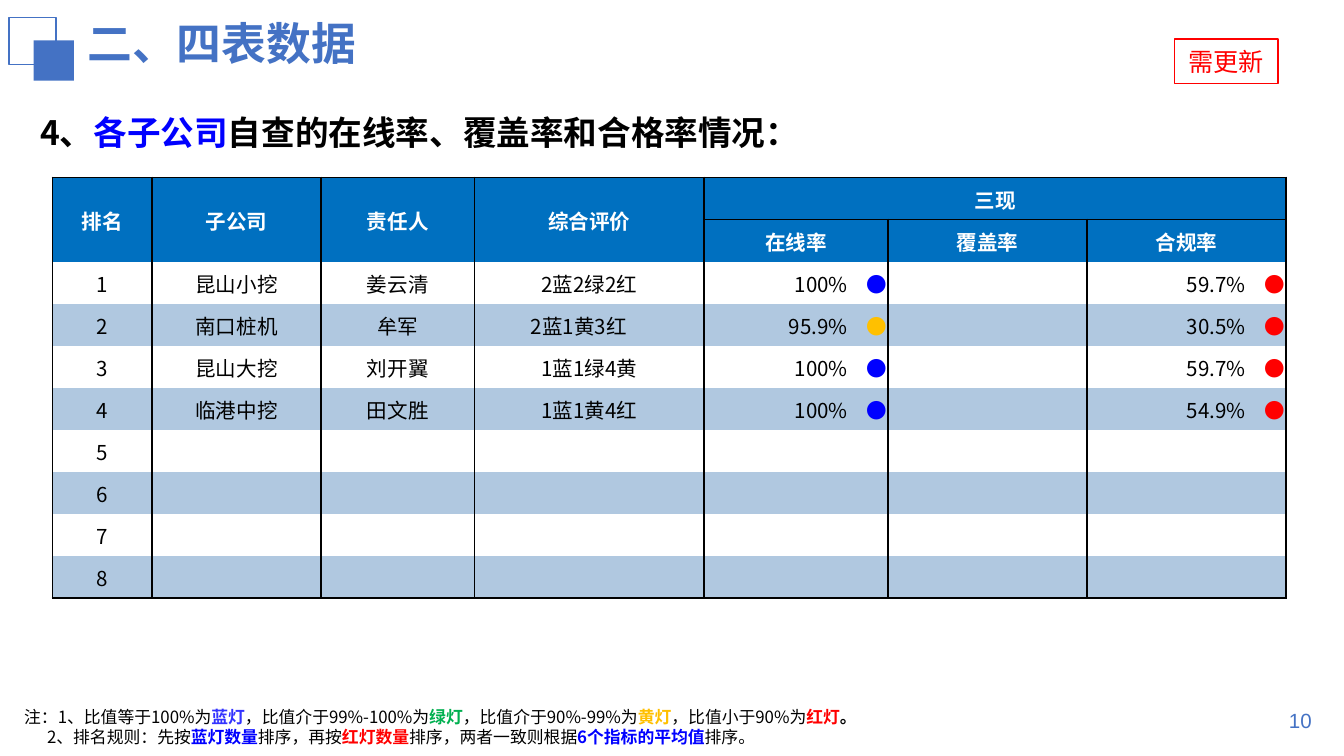
"""Build the slide ranking subsidiaries by their self-checked on-site rates."""
from typing import NamedTuple, Optional

from lxml.etree import SubElement
from pptx import Presentation
from pptx.dml.color import RGBColor
from pptx.enum.shapes import MSO_SHAPE
from pptx.enum.text import MSO_ANCHOR, MSO_AUTO_SIZE, PP_ALIGN
from pptx.oxml.ns import qn
from pptx.util import Inches, Pt

BLACK = RGBColor(0x00, 0x00, 0x00)
WHITE = RGBColor(0xFF, 0xFF, 0xFF)
ACCENT = RGBColor(0x44, 0x72, 0xC4)
HEADER_BLUE = RGBColor(0x00, 0x70, 0xC0)
BAND_BLUE = RGBColor(0xB0, 0xC8, 0xE0)
BLUE = RGBColor(0x00, 0x00, 0xFF)
LAMP_BLUE = RGBColor(0x33, 0x33, 0xFF)
GREEN = RGBColor(0x00, 0xB0, 0x50)
YELLOW = RGBColor(0xFF, 0xC0, 0x00)
RED = RGBColor(0xFF, 0x00, 0x00)

CHINESE_FONT = "Noto Sans CJK SC"
LATIN_FONT = "Arial"
TABLE_SIZE = 11
COLUMN_WIDTHS = (0.74, 1.26, 1.14, 1.71, 1.37, 1.48, 1.48)
HEADINGS = ("排名", "子公司", "责任人", "综合评价")
RATE_HEADINGS = ("在线率", "覆盖率", "合规率")
RANK_COUNT = 8
HEADER_ROWS = 2


class Span(NamedTuple):
    text: str
    color: RGBColor = BLACK
    bold: bool = False
    spacing: float = 0


class Subsidiary(NamedTuple):
    name: str
    manager: str
    verdict: str
    online: str
    online_lamp: RGBColor
    compliance: str
    compliance_lamp: RGBColor = RED


SUBSIDIARIES = (
    Subsidiary("昆山小挖", "姜云清", "2蓝2绿2红", "100%", BLUE, "59.7%"),
    Subsidiary("南口桩机", "牟军", "2蓝1黄3红　", "95.9%", YELLOW, "30.5%"),
    Subsidiary("昆山大挖", "刘开翼", "1蓝1绿4黄", "100%", BLUE, "59.7%"),
    Subsidiary("临港中挖", "田文胜", "1蓝1黄4红", "100%", BLUE, "54.9%"),
)
NOTES = (
    (Span("注：1、比值等于100%为"), Span("蓝灯", LAMP_BLUE, True),
     Span("，比值介于99%-100%为"), Span("绿灯", GREEN, True),
     Span("，比值介于90%-99%为"), Span("黄灯", YELLOW, True),
     Span("，比值小于90%为"), Span("红灯", RED, True), Span("。", BLACK, True)),
    (Span("2、排名规则：先按"), Span("蓝灯数量", BLUE, True),
     Span("排序，再按"), Span("红灯数量", RED, True),
     Span("排序，两者一致则根据"), Span("6个指标的平均值", BLUE, True), Span("排序。")),
)
NOTE_INDENTS = (0, 0.17)


def add_spans(paragraph, spans, size: float, font_name: str = CHINESE_FONT) -> None:
    for span in spans:
        run = paragraph.add_run()
        run.text = span.text
        font = run.font
        font.size, font.bold, font.name = Pt(size), span.bold, font_name
        font.color.rgb = span.color
        SubElement(font._element, qn("a:ea")).set("typeface", font_name)
        if span.spacing:
            font._element.set("spc", str(round(span.spacing * 100)))


def place(shape, left: float, top: float, width: float, height: float, anchor=MSO_ANCHOR.TOP):
    shape.left, shape.top = Inches(left), Inches(top)
    shape.width, shape.height = Inches(width), Inches(height)
    frame = shape.text_frame
    frame.word_wrap = True
    frame.auto_size = MSO_AUTO_SIZE.NONE
    frame.vertical_anchor = anchor
    return frame


def add_middle_text(slide, left: float, top: float, width: float, height: float):
    box = slide.shapes.add_textbox(0, 0, 0, 0)
    return place(box, left, top, width, height, MSO_ANCHOR.MIDDLE).paragraphs[0]


def add_rectangle(shapes, left: float, top: float, width: float, height: float,
                  fill: Optional[RGBColor] = None, line: Optional[RGBColor] = None, line_width: float = 1):
    shape = shapes.add_shape(MSO_SHAPE.RECTANGLE, Inches(left), Inches(top), Inches(width), Inches(height))
    shape.shadow.inherit = False
    shape.fill.background()
    shape.line.fill.background()
    if fill is not None:
        shape.fill.solid()
        shape.fill.fore_color.rgb = fill
    if line is not None:
        shape.line.color.rgb = line
        shape.line.width = Pt(line_width)
    return shape


def format_cell(cell, fill: RGBColor, ruled_sides: str) -> None:
    cell.margin_left = cell.margin_top = cell.margin_right = Inches(0.01)
    cell.margin_bottom = 0
    cell.vertical_anchor = MSO_ANCHOR.MIDDLE
    for side in "LRTB":
        border = SubElement(cell._tc.get_or_add_tcPr(), qn(f"a:ln{side}"), w=str(Pt(1)))
        if side in ruled_sides:
            SubElement(SubElement(border, qn("a:solidFill")), qn("a:srgbClr")).set("val", str(BLACK))
        else:
            SubElement(border, qn("a:noFill"))
    cell.fill.solid()
    cell.fill.fore_color.rgb = fill


def write_cell(cell, *spans: Span, alignment=PP_ALIGN.CENTER) -> None:
    paragraph = cell.text_frame.paragraphs[0]
    paragraph.alignment = alignment
    add_spans(paragraph, spans, TABLE_SIZE)


def add_ranking_table(slide) -> None:
    row_count, column_count = HEADER_ROWS + RANK_COUNT, len(COLUMN_WIDTHS)
    first_rate, last_column = len(HEADINGS), column_count - 1
    table = slide.shapes.add_table(row_count, column_count, Inches(0.39), Inches(1.32),
                                   Inches(sum(COLUMN_WIDTHS)), Inches(3.13)).table
    for column, width in enumerate(COLUMN_WIDTHS):
        table.columns[column].width = Inches(width)
        for row in range(row_count):
            in_rates = column >= first_rate
            top = "T" if row == 0 or (row == 1 and in_rates) else ""
            bottom = "B" if row == row_count - 1 or (row == 0 and in_rates) else ""
            fill = HEADER_BLUE if row < HEADER_ROWS else BAND_BLUE if row % 2 else WHITE
            format_cell(table.cell(row, column), fill, "LR" + top + bottom)
    for column, heading in enumerate(HEADINGS):
        table.cell(0, column).merge(table.cell(1, column))
        write_cell(table.cell(0, column), Span(heading, WHITE, True))
    table.cell(0, first_rate).merge(table.cell(0, last_column))
    write_cell(table.cell(0, first_rate), Span("三现", WHITE, True))
    for column, heading in enumerate(RATE_HEADINGS, first_rate):
        write_cell(table.cell(1, column), Span(heading, WHITE, True))
    for rank in range(1, RANK_COUNT + 1):
        write_cell(table.cell(rank + 1, 0), Span(str(rank)))
    for row, entry in enumerate(SUBSIDIARIES, HEADER_ROWS):
        for column, text in enumerate(entry[:3], 1):
            write_cell(table.cell(row, column), Span(text))
        for column, value, lamp in ((first_rate, entry.online, entry.online_lamp),
                                    (last_column, entry.compliance, entry.compliance_lamp)):
            write_cell(table.cell(row, column), Span(value), Span(" ", spacing=7.4), Span("●", lamp),
                       alignment=PP_ALIGN.RIGHT)
    for cell in table.iter_cells():
        paragraph = cell.text_frame.paragraphs[0]
        if not paragraph.runs:
            SubElement(paragraph._p, qn("a:endParaRPr")).set("sz", str(TABLE_SIZE * 100))


def add_notes(body) -> None:
    frame = place(body, 0.08, 5.21, 8.7, 0.4)
    for index, (spans, indent) in enumerate(zip(NOTES, NOTE_INDENTS)):
        paragraph = frame.add_paragraph() if index else frame.paragraphs[0]
        paragraph.space_before = Pt(0)
        properties = paragraph._p.get_or_add_pPr()
        properties.set("marL", str(Inches(indent)))
        properties.set("indent", "0")
        SubElement(properties, qn("a:buNone"))
        add_spans(paragraph, spans, 9)


def main() -> None:
    presentation = Presentation()
    presentation.slide_width = Inches(10)
    presentation.slide_height = presentation.slide_width * 9 // 16
    slide = presentation.slides.add_slide(presentation.slide_layouts[1])
    title, body = slide.placeholders
    number = add_middle_text(slide, 7.53, 5.21, 2.33, 0.3)
    number.alignment = PP_ALIGN.RIGHT
    add_spans(number, [Span("10", ACCENT)], 11, LATIN_FONT)
    squares = slide.shapes.add_group_shape().shapes
    add_rectangle(squares, 0.07, 0.13, 0.35, 0.35, line=ACCENT)
    add_rectangle(squares, 0.25, 0.3, 0.3, 0.3, fill=ACCENT)
    heading = add_middle_text(slide, 0.2, 0.63, 8.74, 0.56)
    heading.line_spacing = 1.5
    add_spans(heading, [Span("4、", BLACK, True), Span("各子公司", BLUE, True),
                        Span("自查的在线率、覆盖率和合格率情况：", BLACK, True)], 18)
    title_paragraph = place(title, 0.55, 0.07, 4.53, 0.5).paragraphs[0]
    title_paragraph.alignment = PP_ALIGN.LEFT
    add_spans(title_paragraph, [Span("二、四表数据", ACCENT, True)], 24)
    add_ranking_table(slide)
    add_notes(body)
    badge = add_rectangle(slide.shapes, 8.74, 0.29, 0.77, 0.33, line=RED, line_width=0.75)
    badge.text_frame.word_wrap = False
    add_spans(badge.text_frame.paragraphs[0], [Span("需更新", RED)], 13.5, LATIN_FONT)
    presentation.save("out.pptx")


if __name__ == "__main__":
    main()
